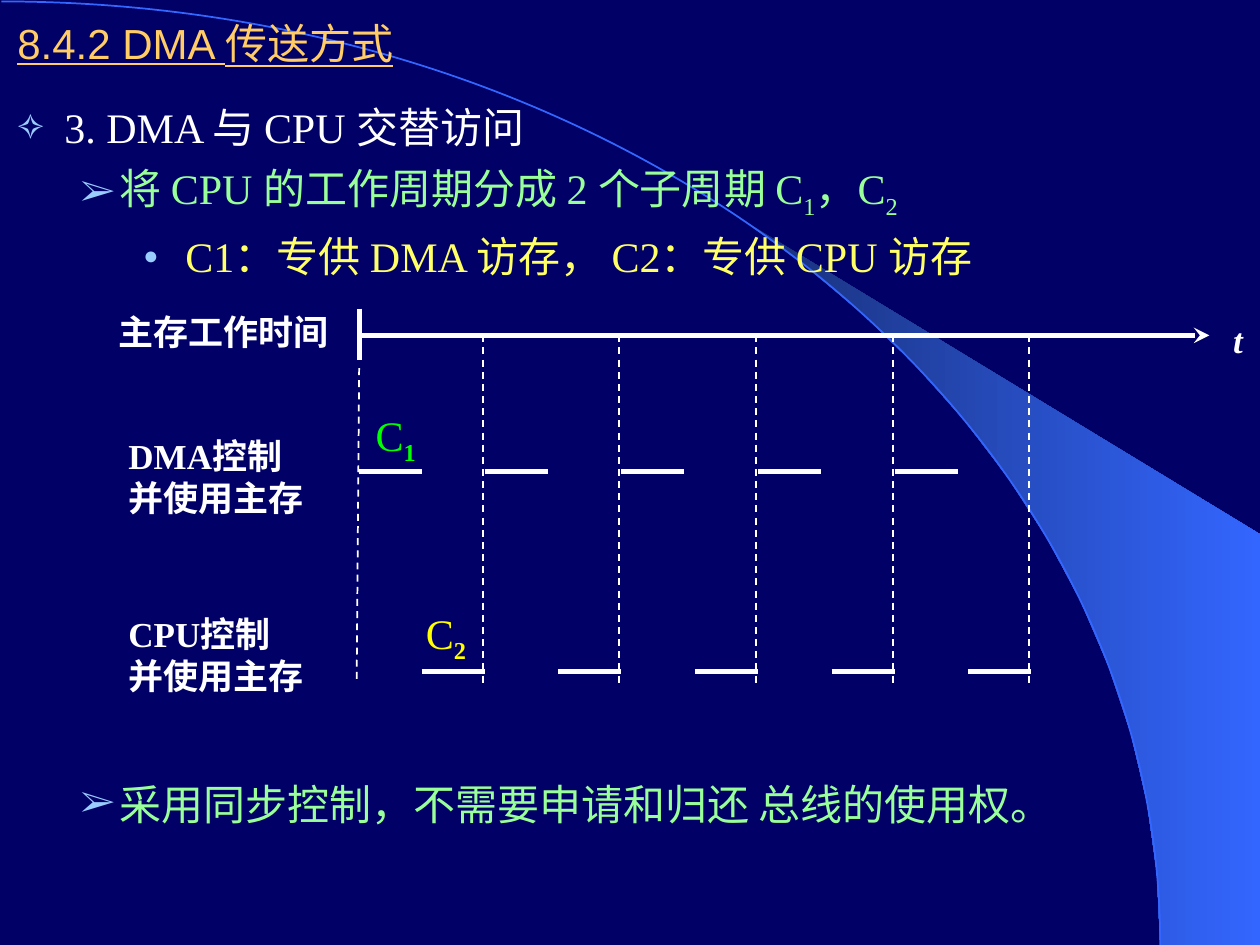
from dataclasses import dataclass
from lxml.etree import SubElement
from pptx import Presentation
from pptx.dml.color import RGBColor
from pptx.enum.dml import MSO_LINE
from pptx.enum.shapes import MSO_CONNECTOR
from pptx.enum.text import MSO_ANCHOR, PP_ALIGN
from pptx.oxml.ns import qn
from pptx.util import Cm, Pt


@dataclass(frozen=True)
class Theme:
    back: str = "000066"
    dark: str = "182F76"
    blue: str = "3366FF"
    gold: str = "FFCC66"
    white: str = "FFFFFF"
    mint: str = "99FF99"
    cream: str = "FFFF66"
    mark: str = "99CCFF"
    green: str = "00FF00"
    yellow: str = "FFFF00"
    sans: str = "Arial"
    serif: str = "Times New Roman"
    large: int = 24
    small: int = 20


theme = Theme()
deck = Presentation()
deck.slide_width, deck.slide_height = Cm(25.4), Cm(19.05)
slide = deck.slides.add_slide(deck.slide_layouts[6])
slide.background.fill.solid()
slide.background.fill.fore_color.rgb = RGBColor.from_string(theme.back)
shapes = slide.shapes


def write(left, top, wide, high, text, size, tone, face=theme.serif, bold=False):
    frame = shapes.add_textbox(Cm(left), Cm(top), Cm(wide), Cm(high)).text_frame
    frame.word_wrap = False
    frame.text = text
    for par in frame.paragraphs:
        parts = par.text.split("_")
        par.text = parts[0]
        for part in parts[1:]:
            if part:
                par.add_run().text = part
        for spot, run in enumerate(par.runs):
            run.font.name, run.font.size, run.font.bold = face, Pt(size), bold
            run.font.color.rgb = RGBColor.from_string(tone)
            if spot % 2:
                run.font._element.set("baseline", "-25000")
    return frame


def rule(left, top, right, base, width=3):
    line = shapes.add_connector(
        MSO_CONNECTOR.STRAIGHT, Cm(left), Cm(top), Cm(right), Cm(base))
    line.line.width = Pt(width)
    line.line.color.rgb = RGBColor.from_string(theme.white)
    if width == 1:
        line.line.dash_style = MSO_LINE.DASH
    SubElement(line._element.spPr, qn("a:effectLst"))
    return line


knots = [(0.03, 0.03), (12.93, 0.03), (23.39, 8.56), (23.39, 19.05)]
edge = []
for step in range(13):
    t = 0.44 + 0.56 * step / 12
    mix = [(1 - t) ** 3, 3 * t * (1 - t) ** 2, 3 * t * t * (1 - t), t ** 3]
    edge.append([Cm(sum(m * k[axis] for m, k in zip(mix, knots))) for axis in (0, 1)])

wedge = edge + [(Cm(25.4), Cm(19.05)), (Cm(25.4), Cm(10.77))]
ends = [(Cm(x), Cm(y)) for x, y in (knots[0], knots[-1])]
forms = []
for dots, shut in ((wedge, True), (ends, False)):
    pen = shapes.build_freeform(*dots[0])
    pen.add_line_segments(dots[1:], close=shut)
    form = pen.convert_to_shape()
    form.shadow.inherit = False
    forms.append(form)
beam, arc = forms
beam.line.fill.background()
beam.fill.gradient()
beam.fill.gradient_angle = 0
for stop, tone in zip(beam.fill.gradient_stops, (theme.dark, theme.blue)):
    stop.color.rgb = RGBColor.from_string(tone)
arc.fill.background()
arc.line.width = Pt(1)
arc.line.color.rgb = RGBColor.from_string(theme.blue)
chord = arc._element.find(".//" + qn("a:lnTo"))
trace = chord.getparent()
trace.remove(chord)
bend = SubElement(trace, qn("a:cubicBezTo"))
for x, y in knots[1:]:
    SubElement(bend, qn("a:pt"), x=str(Cm(x) - arc.left), y=str(Cm(y) - arc.top))

title = write(0.1, 0.2, 25, 1.32, "8.4.2 DMA 传送方式", theme.large, theme.gold, theme.sans)
title.word_wrap = True
title.vertical_anchor = MSO_ANCHOR.MIDDLE
title.paragraphs[0].runs[0].font.underline = True

body = write(0.1, 1.93, 25.1, 16.81, "\n".join([
    "3. DMA 与 CPU 交替访问",
    "将 CPU 的工作周期分成 2 个子周期 C_1_，C_2",
    "C1：专供 DMA 访存， C2：专供 CPU 访存",
    "采用同步控制，不需要申请和归还 总线的使用权。",
]), theme.large, theme.white)
body.word_wrap = True
styles = [
    (0, 0.95, 0.95, 0, "✧", 80, theme.white),
    (1, 2.06, 0.79, 6, "➢", 90, theme.mint),
    (2, 3.39, 0.85, 6, "●", 60, theme.cream),
    (1, 2.06, 0.79, 284, "➢", 90, theme.mint),
]
for par, (level, left, hang, gap, sign, scale, tone) in zip(body.paragraphs, styles):
    props = par._p.get_or_add_pPr()
    props.set("marL", str(Cm(left)))
    props.set("indent", str(-Cm(hang)))
    SubElement(SubElement(props, qn("a:buClr")), qn("a:srgbClr"), val=theme.mark)
    SubElement(props, qn("a:buSzPct"), val=str(scale * 1000))
    SubElement(props, qn("a:buFont"), typeface=theme.serif)
    SubElement(props, qn("a:buChar"), char=sign)
    par.level = level
    par.space_before = Pt(gap)
    for run in par.runs:
        run.font.color.rgb = RGBColor.from_string(tone)

labels = [
    (2.13, 6.14, 4.75, 1.12, "主存工作时间"),
    (2.34, 8.63, 4.04, 1.96, "DMA控制\n并使用主存"),
    (2.34, 12.23, 4.04, 1.96, "CPU控制\n并使用主存"),
    (24.61, 6.3, 0.69, 1.12, "t"),
]
for label in labels:
    note = write(*label, theme.small, theme.white, bold=True)
note.paragraphs[0].runs[0].font.italic = True

start, axis, span, shift = 7.24, 6.76, 1.27, 0.04
rule(start, 6.22, start, 7.26)
arrow = rule(start, axis, 24.38, axis)
SubElement(arrow.line._get_or_add_ln(), qn("a:tailEnd"), type="stealth")
rule(start, 7.42, 7.19, 13.72, 1)

ticks = [9.73 + 2.755 * n for n in range(5)]
for left, tick in zip([start] + [tick + shift for tick in ticks], ticks):
    rule(left, 9.5, left + span, 9.5)
    rule(tick + shift - span, 13.54, tick + shift, 13.54)
    rule(tick, axis, tick, 13.77, 1)

for left, top, text, tone in (
    (7.32, 8.13, "C_1", theme.green), (8.33, 12.12, "C_2", theme.yellow)):
    par = write(left, top, 1.32, 1.42, text, theme.large, tone).paragraphs[0]
    par.alignment = PP_ALIGN.CENTER
    par.runs[1].font.bold = True

deck.save("out.pptx")
